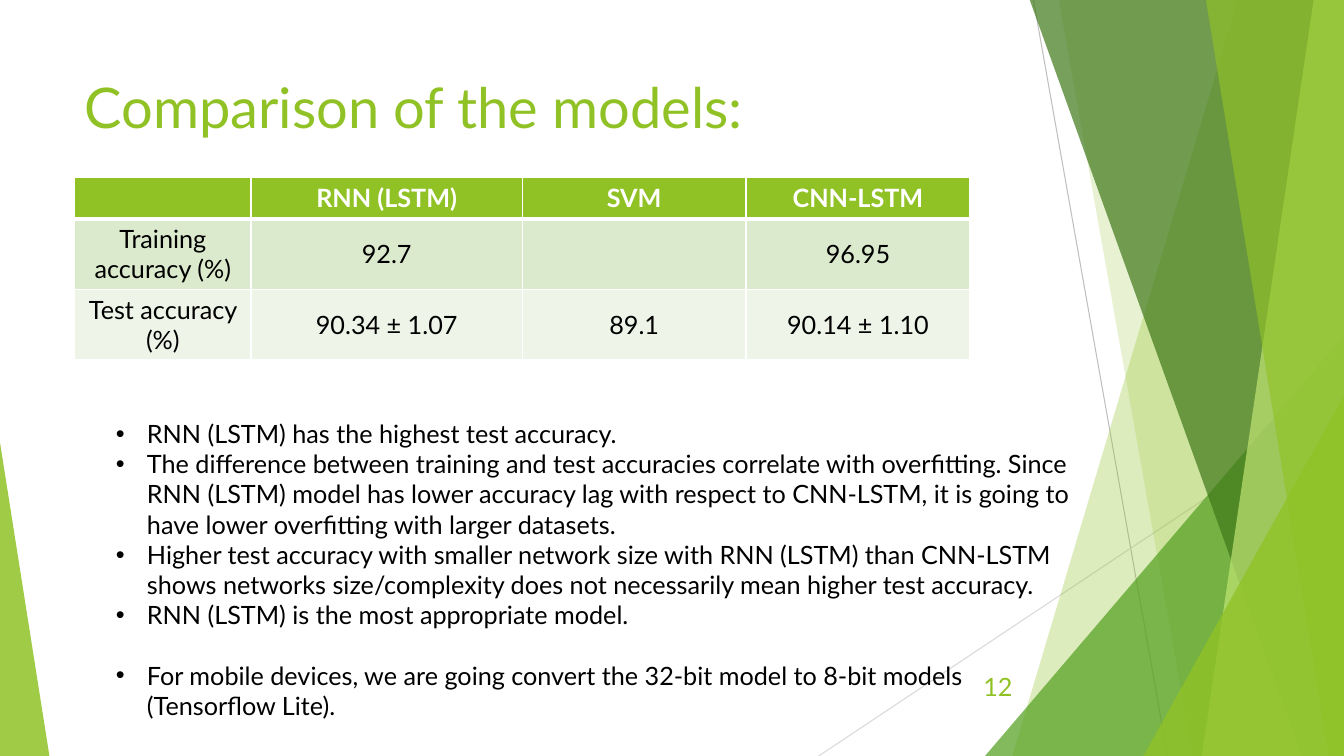
from dataclasses import dataclass
from typing import Any, NamedTuple

from lxml import etree
from pptx import Presentation
from pptx.dml.color import RGBColor
from pptx.enum.shapes import MSO_CONNECTOR, MSO_SHAPE
from pptx.enum.text import MSO_ANCHOR, PP_ALIGN
from pptx.oxml.ns import qn
from pptx.util import Inches, Pt

STRAIGHT = MSO_CONNECTOR.STRAIGHT
TRIANGLE = MSO_SHAPE.ISOSCELES_TRIANGLE
TOP, MIDDLE = MSO_ANCHOR.TOP, MSO_ANCHOR.MIDDLE
LEFT, CENTER, RIGHT = PP_ALIGN.LEFT, PP_ALIGN.CENTER, PP_ALIGN.RIGHT
SLIDE_WIDTH, SLIDE_HEIGHT = 13.33, 7.5
SHARD_TOP = -0.01


@dataclass(frozen=True)
class Theme:
    """Colours, typeface and type sizes of the slide."""
    font: str = "Lato"
    title_size: int = 40
    body_size: int = 18
    line_height: float = 21.6
    lime: str = "90C226"
    leaf: str = "54A021"
    forest: str = "3F7819"
    pale_lime: str = "C0E474"
    row_dark: str = "DBE9CD"
    row_light: str = "EEF4E8"
    ray_dark: str = "BFBFBF"
    ray_light: str = "D9D9D9"
    white: str = "FFFFFF"
    black: str = "000000"


THEME = Theme()


class Box(NamedTuple):
    """Left, top, width and height in inches."""
    left: float
    top: float
    width: float
    height: float

    def lengths(self) -> list[int]:
        """Return the four values as slide lengths."""
        return [Inches(value) for value in self]


class Ray(NamedTuple):
    """A thin line behind the facets."""
    x1: float
    y1: float
    x2: float
    y2: float
    color: str


class Shard(NamedTuple):
    """A full-height facet that ends at the right slide edge."""
    top_x: float
    bottom_x: float
    color: str
    opacity: int


class Wedge(NamedTuple):
    """A right triangle that stands on the bottom slide edge."""
    left: float
    top: float
    width: float
    apex: int
    color: str
    opacity: int


class Bullet(NamedTuple):
    """A finding and the space above it in points."""
    text: str
    space_before: float = 0


RAYS = [
    Ray(10.25, 0, 11.58, SLIDE_HEIGHT, THEME.ray_dark),
    Ray(SLIDE_WIDTH, 4.03, 8.12, SLIDE_HEIGHT, THEME.ray_light),
]
FACETS = [
    Shard(12.28, 10.04, THEME.lime, 30),
    Shard(10.5, 11.83, THEME.lime, 20),
    Wedge(9.77, 3.33, 3.56, 1, THEME.leaf, 72),
    Shard(10.21, 12.91, THEME.forest, 70),
    Shard(13.03, 11.92, THEME.pale_lime, 70),
    Shard(11.96, 13.18, THEME.lime, 65),
    Wedge(11.34, 3.93, 1.99, 1, THEME.lime, 80),
    Wedge(0, 4.39, 0.49, 0, THEME.lime, 85),
]
ACCURACIES = [
    ["", "RNN (LSTM)", "SVM", "CNN-LSTM"],
    ["Training accuracy (%)", "92.7", "", "96.95"],
    ["Test accuracy (%)", "90.34 ± 1.07", "89.1", "90.14 ± 1.10"],
]
COLUMN_WIDTHS = [1.75, 2.69, 2.22, 2.22]
ROW_HEIGHTS = [0.41, 0.7, 0.7]
ROW_FILLS = [THEME.lime, THEME.row_dark, THEME.row_light]
FINDINGS = [
    Bullet("RNN (LSTM) has the highest test accuracy."),
    Bullet("The difference between training and test accuracies correlate with "
           "overfitting. Since RNN (LSTM) model has lower accuracy lag with respect to "
           "CNN-LSTM, it is going to have lower overfitting with larger datasets."),
    Bullet("Higher test accuracy with smaller network size with RNN (LSTM) than CNN-LSTM "
           "shows networks size/complexity does not necessarily mean higher test accuracy."),
    Bullet("RNN (LSTM) is the most appropriate model."),
    Bullet("For mobile devices, we are going convert the 32-bit model to 8-bit models "
           "(Tensorflow Lite).", THEME.line_height),
]


def apply_format(target: Any, values: dict[str, Any]) -> None:
    """Set every named attribute on the target."""
    for name, value in values.items():
        setattr(target, name, value)


def write(paragraph: Any, text: str, color: str, size: int = THEME.body_size,
          align: Any = LEFT, bold: bool = False) -> None:
    """Put one formatted run into a paragraph."""
    paragraph.alignment = align
    run = paragraph.add_run()
    run.text = text
    apply_format(run.font, {"name": THEME.font, "size": Pt(size), "bold": bold})
    run.font.color.rgb = RGBColor.from_string(color)


def add_text_frame(slide: Any, box: Box, anchor: Any = TOP) -> Any:
    """Add a wrapping text box and return its frame."""
    frame = slide.shapes.add_textbox(*box.lengths()).text_frame
    apply_format(frame, {"word_wrap": True, "vertical_anchor": anchor})
    return frame


def draw_ray(slide: Any, ray: Ray) -> None:
    """Draw a thin line without a shadow."""
    ends = [Inches(value) for value in ray[:4]]
    line = slide.shapes.add_connector(STRAIGHT, *ends)
    line.line.width = Pt(0.75)
    line.line.color.rgb = RGBColor.from_string(ray.color)
    etree.SubElement(line._element.spPr, qn("a:effectLst"))


def draw_facet(slide: Any, facet: Shard | Wedge) -> None:
    """Draw a translucent shard or wedge."""
    if isinstance(facet, Wedge):
        box = Box(facet.left, facet.top, facet.width, SLIDE_HEIGHT - facet.top)
        shape = slide.shapes.add_shape(TRIANGLE, *box.lengths())
        shape.adjustments[0] = facet.apex
    else:
        outline = [(facet.top_x, SHARD_TOP), (SLIDE_WIDTH, SHARD_TOP),
                   (SLIDE_WIDTH, SLIDE_HEIGHT), (facet.bottom_x, SLIDE_HEIGHT)]
        corners = [(Inches(x), Inches(y)) for x, y in outline]
        builder = slide.shapes.build_freeform(*corners[0])
        builder.add_line_segments(corners[1:], close=True)
        shape = builder.convert_to_shape()
    shape.shadow.inherit = False
    shape.line.fill.background()
    shape.fill.solid()
    shape.fill.fore_color.rgb = RGBColor.from_string(facet.color)
    color = shape._element.spPr.find(qn("a:solidFill"))[0]
    etree.SubElement(color, qn("a:alpha"), val=str(facet.opacity * 1000))


def add_borders(cell: Any, row: int) -> None:
    """Give a cell white borders, with a thick rule below the header."""
    widths = {"lnL": 1, "lnR": 1, "lnT": 3 if row == 1 else 1, "lnB": 3 if row == 0 else 1}
    properties = cell._tc.get_or_add_tcPr()
    for position, (side, width) in enumerate(widths.items()):
        border = etree.Element(qn(f"a:{side}"), w=str(Pt(width)))
        fill = etree.SubElement(border, qn("a:solidFill"))
        etree.SubElement(fill, qn("a:srgbClr"), val=THEME.white)
        properties.insert(position, border)


def draw_accuracy_table(slide: Any) -> None:
    """Draw the accuracy table of the three models."""
    box = Box(0.74, 1.76, sum(COLUMN_WIDTHS), sum(ROW_HEIGHTS))
    table = slide.shapes.add_table(len(ROW_HEIGHTS), len(COLUMN_WIDTHS), *box.lengths()).table
    for column, width in zip(table.columns, COLUMN_WIDTHS):
        column.width = Inches(width)
    for row, texts in enumerate(ACCURACIES):
        table.rows[row].height = Inches(ROW_HEIGHTS[row])
        header = row == 0
        for column, text in enumerate(texts):
            cell = table.cell(row, column)
            cell.vertical_anchor = MIDDLE
            cell.fill.solid()
            cell.fill.fore_color.rgb = RGBColor.from_string(ROW_FILLS[row])
            add_borders(cell, row)
            if text:
                write(cell.text_frame.paragraphs[0], text,
                      THEME.white if header else THEME.black, align=CENTER, bold=header)


def draw_findings(slide: Any) -> None:
    """Write the bulleted findings below the table."""
    frame = add_text_frame(slide, Box(1.05, 4.1, 9.83, 3.43))
    for index, finding in enumerate(FINDINGS):
        paragraph = frame.add_paragraph() if index else frame.paragraphs[0]
        write(paragraph, finding.text, THEME.black)
        paragraph.space_before = Pt(finding.space_before)
        properties = paragraph._p.get_or_add_pPr()
        indent = Inches(0.31)
        apply_indent = {"marL": indent, "indent": -indent}
        for name, value in apply_indent.items():
            properties.set(name, str(value))
        etree.SubElement(properties, qn("a:buFont"), typeface="Arial")
        etree.SubElement(properties, qn("a:buChar"), char="•")


def main() -> None:
    """Build and save the slide."""
    deck = Presentation()
    apply_format(deck, {"slide_width": Inches(SLIDE_WIDTH), "slide_height": Inches(SLIDE_HEIGHT)})
    slide = deck.slides.add_slide(deck.slide_layouts[6])
    for ray in RAYS:
        draw_ray(slide, ray)
    for facet in FACETS:
        draw_facet(slide, facet)
    title = add_text_frame(slide, Box(0.74, 0.67, 9.4, 1.44))
    write(title.paragraphs[0], "Comparison of the models:", THEME.lime, THEME.title_size)
    page_number = add_text_frame(slide, Box(9.39, 6.61, 0.75, 0.4), MIDDLE)
    write(page_number.paragraphs[0], "12", THEME.lime, align=RIGHT)
    draw_accuracy_table(slide)
    draw_findings(slide)
    deck.save("out.pptx")


main()
